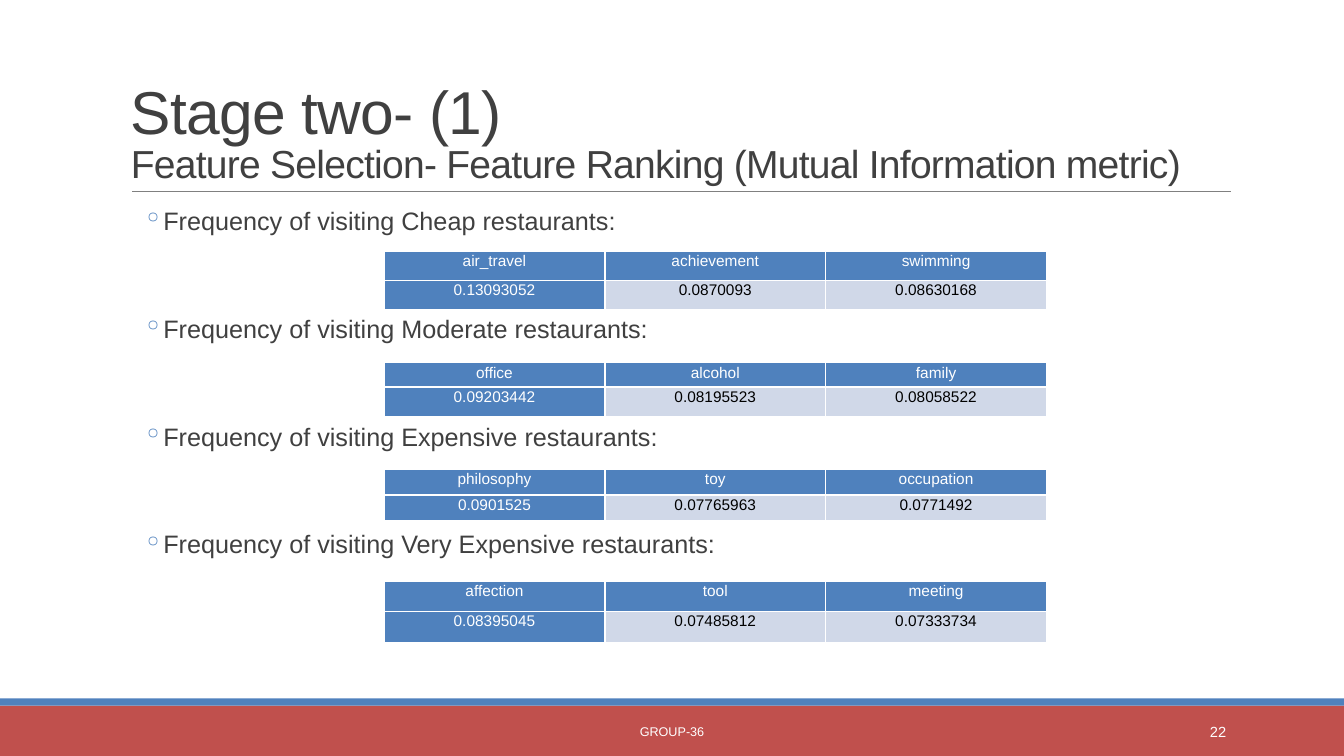
from lxml import etree
from pptx import Presentation
from pptx.dml.color import RGBColor
from pptx.enum.shapes import MSO_CONNECTOR, MSO_SHAPE
from pptx.enum.text import MSO_ANCHOR, PP_ALIGN
from pptx.oxml.ns import qn
from pptx.util import Inches, Pt

RECT, STRAIGHT = MSO_SHAPE.RECTANGLE, MSO_CONNECTOR.STRAIGHT
TOP, MIDDLE, BOTTOM = MSO_ANCHOR.TOP, MSO_ANCHOR.MIDDLE, MSO_ANCHOR.BOTTOM
LEFT, CENTER, RIGHT = PP_ALIGN.LEFT, PP_ALIGN.CENTER, PP_ALIGN.RIGHT
RED = RGBColor(0xC0, 0x50, 0x4D)
BLUE = RGBColor(0x4F, 0x81, 0xBD)
PALE_BLUE = RGBColor(0xD0, 0xD8, 0xE8)
GRAY = RGBColor(0x80, 0x80, 0x80)
DARK = RGBColor(0x40, 0x40, 0x40)
WHITE = RGBColor(0xFF, 0xFF, 0xFF)
BLACK = RGBColor(0, 0, 0)

prs = Presentation()
prs.slide_width, prs.slide_height = Inches(13.33), Inches(7.5)
s = prs.slides.add_slide(prs.slide_layouts[6])


def add_box(left, top, width, height, anchor):
    tf = s.shapes.add_textbox(Inches(left), Inches(top), Inches(width), Inches(height)).text_frame
    tf.word_wrap = True
    tf.vertical_anchor = anchor
    return tf


def add_run(p, text, size, color):
    r = p.add_run()
    r.text = text
    for name, value in {"name": "Arial", "size": Pt(size)}.items():
        setattr(r.font, name, value)
    r.font.color.rgb = color
    return r


for top, height, color in [(7, 0.5, RED), (6.93, 0.07, BLUE)]:
    band = s.shapes.add_shape(RECT, 0, Inches(top), prs.slide_width, Inches(height))
    band.shadow.inherit = False
    band.fill.solid()
    band.fill.fore_color.rgb = color
    band.line.fill.background()

rule = s.shapes.add_connector(STRAIGHT, Inches(1.31), Inches(1.9), Inches(12.21), Inches(1.9))
rule.line.color.rgb = GRAY
rule.line.width = Pt(0.5)
etree.SubElement(rule._element.spPr, qn("a:effectLst"))

p = add_box(1.2, 0.31, 11, 1.59, BOTTOM).paragraphs[0]
p.line_spacing = 0.85
title = add_run(p, "Stage two- (1)", 43.2, DARK)
p.add_line_break()
subtitle = add_run(p, "Feature Selection- Feature Ranking (Mutual Information metric)", 27.9, DARK)
for r in (title, subtitle):
    r._r.get_or_add_rPr().set("spc", "-50")

rankings = [
    ("Cheap", 2.49, (0.29, 0.29),
     [("air_travel", "achievement", "swimming"), ("0.13093052", "0.0870093", "0.08630168")]),
    ("Moderate", 3.6, (0.24, 0.29),
     [("office", "alcohol", "family"), ("0.09203442", "0.08195523", "0.08058522")]),
    ("Expensive", 4.66, (0.25, 0.25),
     [("philosophy", "toy", "occupation"), ("0.0901525", "0.07765963", "0.0771492")]),
    ("Very Expensive", 5.77, (0.3, 0.3),
     [("affection", "tool", "meeting"), ("0.08395045", "0.07485812", "0.07333734")]),
]

body = add_box(1.2, 2.02, 11, 4.4, TOP)
body.margin_left = body.margin_right = 0
for i, (price, top, heights, rows) in enumerate(rankings):
    p = body.add_paragraph() if i else body.paragraphs[0]
    p.line_spacing = 0.9
    p.space_before = Pt(53.6 if i else 2)
    p.space_after = Pt(4)
    pPr = p._p.get_or_add_pPr()
    pPr.set("marL", str(Inches(0.42)))
    pPr.set("indent", str(Inches(-0.2)))
    bullet_color = etree.SubElement(pPr, qn("a:buClr"))
    etree.SubElement(bullet_color, qn("a:srgbClr"), val=str(BLUE))
    etree.SubElement(pPr, qn("a:buChar"), char="◦")
    add_run(p, f"Frequency of visiting {price} restaurants:", 18, DARK)

    table = s.shapes.add_table(2, 3, Inches(3.81), Inches(top),
                               Inches(6.58), Inches(sum(heights))).table
    for column in table.columns:
        column.width = Inches(2.19)
    for y, (height, row) in enumerate(zip(heights, rows)):
        table.rows[y].height = Inches(height)
        for x, text in enumerate(row):
            cell = table.cell(y, x)
            heading = y == 0 or x == 0
            for name, value in {"margin_left": 0.07, "margin_right": 0.07,
                                "margin_top": 0, "margin_bottom": 0}.items():
                setattr(cell, name, Inches(value))
            p = cell.text_frame.paragraphs[0]
            p.alignment = CENTER
            p.line_spacing = 1.07
            add_run(p, text, 11, WHITE if heading else BLACK)
            tcPr = cell._tc.get_or_add_tcPr()
            for side in ("lnL", "lnR", "lnT", "lnB"):
                border = etree.SubElement(tcPr, qn(f"a:{side}"), w=str(Pt(1)))
                border_fill = etree.SubElement(border, qn("a:solidFill"))
                etree.SubElement(border_fill, qn("a:srgbClr"), val=str(WHITE))
            cell.fill.solid()
            cell.fill.fore_color.rgb = BLUE if heading else PALE_BLUE

for left, width, text, size, align in [(4.03, 5.27, "GROUP-36", 9, CENTER),
                                       (10.83, 1.43, "22", 10.5, RIGHT)]:
    p = add_box(left, 7.06, width, 0.4, MIDDLE).paragraphs[0]
    p.alignment = align
    add_run(p, text, size, WHITE)

prs.save("out.pptx")
